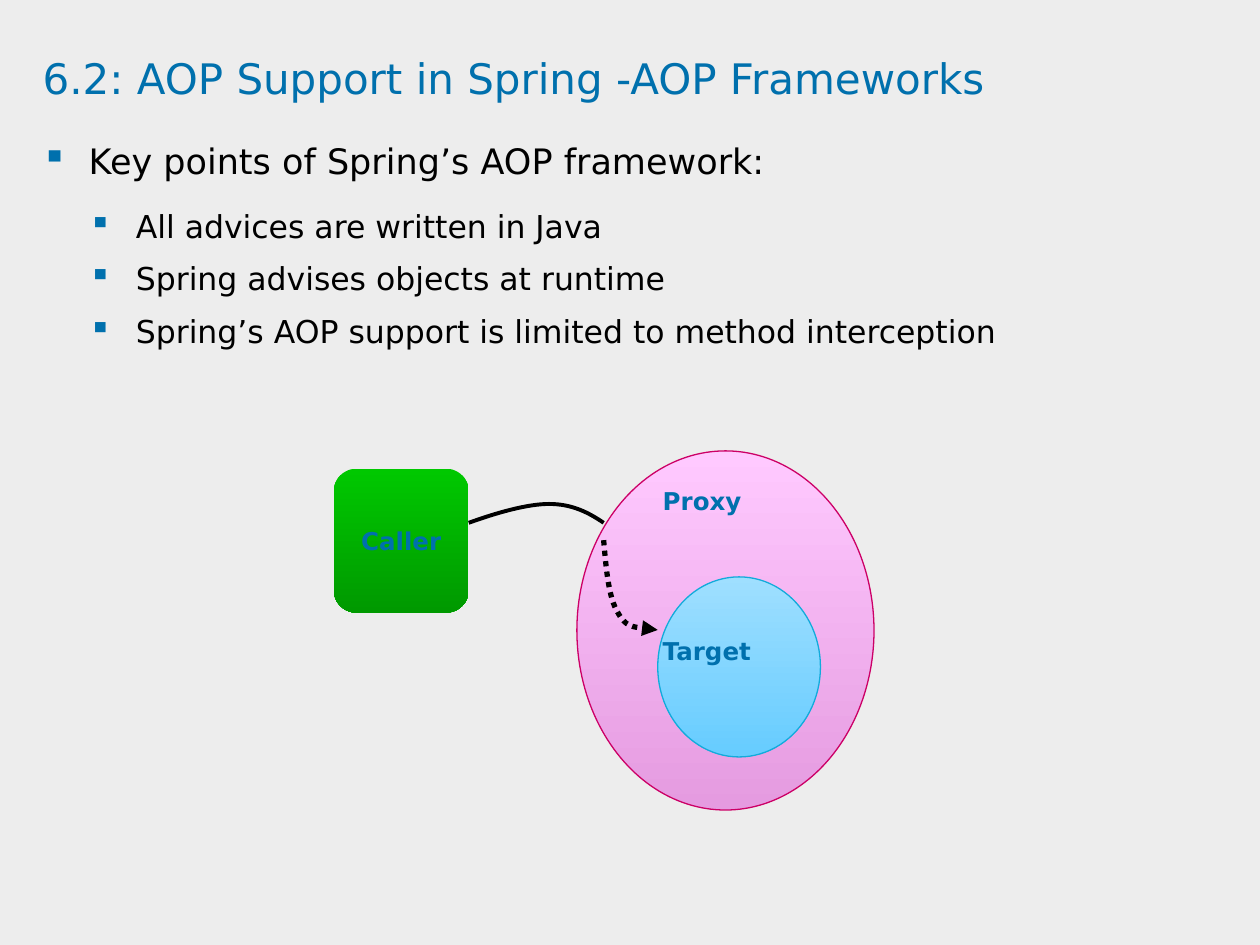
from dataclasses import dataclass

from lxml.etree import SubElement
from pptx import Presentation
from pptx.dml.color import RGBColor
from pptx.enum.dml import MSO_LINE
from pptx.enum.shapes import MSO_SHAPE
from pptx.enum.text import MSO_ANCHOR, PP_ALIGN
from pptx.oxml.ns import qn
from pptx.util import Cm, Pt


@dataclass(frozen=True)
class Theme:
    font: str = "DejaVu Sans"
    page: str = "EDEDED"
    accent: str = "0070AD"
    ink: str = "000000"
    proxy: tuple = ("FFC9FF", "E59BE0")
    proxy_edge: str = "CC0066"
    target: tuple = ("9FDFFF", "66CCFF")
    target_edge: str = "12ABDB"
    caller: tuple = ("00C800", "009900")
    title_size: int = 24
    point_size: int = 20
    subpoint_size: int = 18
    label_size: int = 14


THEME = Theme()
HEADING = "Key points of Spring’s AOP framework:"
SUBPOINTS = [
    "All advices are written in Java",
    "Spring advises objects at runtime",
    "Spring’s AOP support is limited to method interception",
]


def apply(target, formats):
    for name, value in formats.items():
        setattr(target, name, value)


def write(paragraph, text, size, color, bold=False):
    run = paragraph.add_run()
    run.text = text
    apply(run.font, {"name": THEME.font, "size": Pt(size), "bold": bold})
    run.font.color.rgb = RGBColor.from_string(color)


def add_text_frame(shapes, left, top, width, height, margins):
    frame = shapes.add_textbox(Cm(left), Cm(top), Cm(width), Cm(height)).text_frame
    formats = {"word_wrap": True}
    if not margins:
        formats |= dict.fromkeys(
            ("margin_left", "margin_top", "margin_right", "margin_bottom"), 0)
    apply(frame, formats)
    return frame


def add_bullet(paragraph, indent):
    properties = paragraph._p.get_or_add_pPr()
    hanging = Cm(0.95)
    properties.set("marL", str(indent * hanging))
    properties.set("indent", str(-hanging))
    color = SubElement(properties, qn("a:buClr"))
    SubElement(color, qn("a:srgbClr"), val=THEME.accent)
    SubElement(properties, qn("a:buChar"), char="▪")


def add_gradient_shape(shapes, kind, box, colors, edge=None):
    shape = shapes.add_shape(kind, *map(Cm, box))
    shape.shadow.inherit = False
    shape.fill.gradient()
    shape.fill.gradient_angle = 270
    for stop, color in zip(shape.fill.gradient_stops, colors):
        stop.color.rgb = RGBColor.from_string(color)
    if edge:
        shape.line.color.rgb = RGBColor.from_string(edge)
        shape.line.width = Pt(0.75)
    else:
        shape.line.fill.background()
    return shape


def add_curve(shapes, points, line_formats):
    """Draw cubic curves: a start, then two control points and an end for each."""
    start, *rest = [(Cm(x), Cm(y)) for x, y in points]
    builder = shapes.build_freeform(*start)
    builder.add_line_segments(rest, close=False)
    curve = builder.convert_to_shape()
    curve.shadow.inherit = False
    curve.fill.background()
    curve.line.color.rgb = RGBColor.from_string(THEME.ink)
    apply(curve.line, line_formats)
    # Merge each three straight segments into one Bezier segment
    segments = curve.element.xpath(".//a:lnTo")
    for first in range(0, len(segments), 3):
        bezier, *others = segments[first:first + 3]
        bezier.tag = qn("a:cubicBezTo")
        for other in others:
            bezier.append(other[0])
            other.getparent().remove(other)
    return curve


def add_title(slide, left, top, width, height):
    frame = add_text_frame(slide.shapes, left, top, width, height, margins=False)
    paragraph = frame.paragraphs[0]
    paragraph.line_spacing = 0.9
    write(paragraph, "6.2: AOP Support in Spring -AOP Frameworks",
          THEME.title_size, THEME.accent)


def add_key_points(slide, left, top, width, height):
    frame = add_text_frame(slide.shapes, left, top, width, height, margins=False)
    heading = frame.paragraphs[0]
    add_bullet(heading, 1)
    heading.line_spacing = Pt(16.5)
    write(heading, HEADING, THEME.point_size, THEME.ink)
    for index, text in enumerate(SUBPOINTS):
        subpoint = frame.add_paragraph()
        add_bullet(subpoint, 2)
        apply(subpoint, {"level": 1, "line_spacing": Pt(10.5),
                         "space_before": Pt(19.5 if index else 25.5)})
        write(subpoint, text, THEME.subpoint_size, THEME.ink)


def add_proxy_diagram(slide, left, top):
    shapes = slide.shapes.add_group_shape().shapes

    def place(x, y, *size):
        return (left + x, top + y, *size)

    # Proxy around its target
    add_gradient_shape(shapes, MSO_SHAPE.OVAL, place(4.9, 0, 5.99, 7.24),
                       THEME.proxy, THEME.proxy_edge)
    add_gradient_shape(shapes, MSO_SHAPE.OVAL, place(6.53, 2.54, 3.28, 3.63),
                       THEME.target, THEME.target_edge)
    for label, y in (("Proxy", 0.58), ("Target", 3.61)):
        frame = add_text_frame(shapes, *place(6.38, y, 3.45, 2.44), margins=True)
        write(frame.paragraphs[0], label, THEME.label_size, THEME.accent, bold=True)

    # Caller
    caller = add_gradient_shape(shapes, MSO_SHAPE.ROUNDED_RECTANGLE,
                                place(0, 0.36, 2.72, 2.9), THEME.caller)
    apply(caller.text_frame, {"word_wrap": False, "vertical_anchor": MSO_ANCHOR.MIDDLE})
    paragraph = caller.text_frame.paragraphs[0]
    paragraph.alignment = PP_ALIGN.CENTER
    write(paragraph, "Caller", THEME.label_size, THEME.accent, bold=True)

    # Call to the proxy, then its dotted hand-over to the target
    call = [(2.72, 1.45), (3.3, 1.24), (3.91, 1.07), (4.34, 1.07),
            (4.8, 1.07), (5.13, 1.24), (5.44, 1.45)]
    handover = [(5.44, 1.8), (5.49, 2.39), (5.54, 2.95), (5.72, 3.25),
                (5.89, 3.56), (6.2, 3.58), (6.53, 3.61)]
    add_curve(shapes, [place(*point) for point in call], {"width": Pt(2.25)})
    arrow = add_curve(shapes, [place(*point) for point in handover],
                      {"width": Pt(3), "dash_style": MSO_LINE.ROUND_DOT})
    SubElement(arrow.element.spPr.find(qn("a:ln")), qn("a:tailEnd"), type="triangle")


def main():
    presentation = Presentation()
    apply(presentation, {"slide_width": Cm(25.4), "slide_height": Cm(19.05)})
    slide = presentation.slides.add_slide(presentation.slide_layouts[6])
    slide.background.fill.solid()
    slide.background.fill.fore_color.rgb = RGBColor.from_string(THEME.page)
    add_proxy_diagram(slide, 6.73, 9.09)
    add_title(slide, 0.86, 1.17, 23.09, 1.17)
    add_key_points(slide, 0.84, 3.08, 24.56, 5.8)
    presentation.save("out.pptx")


if __name__ == "__main__":
    main()
